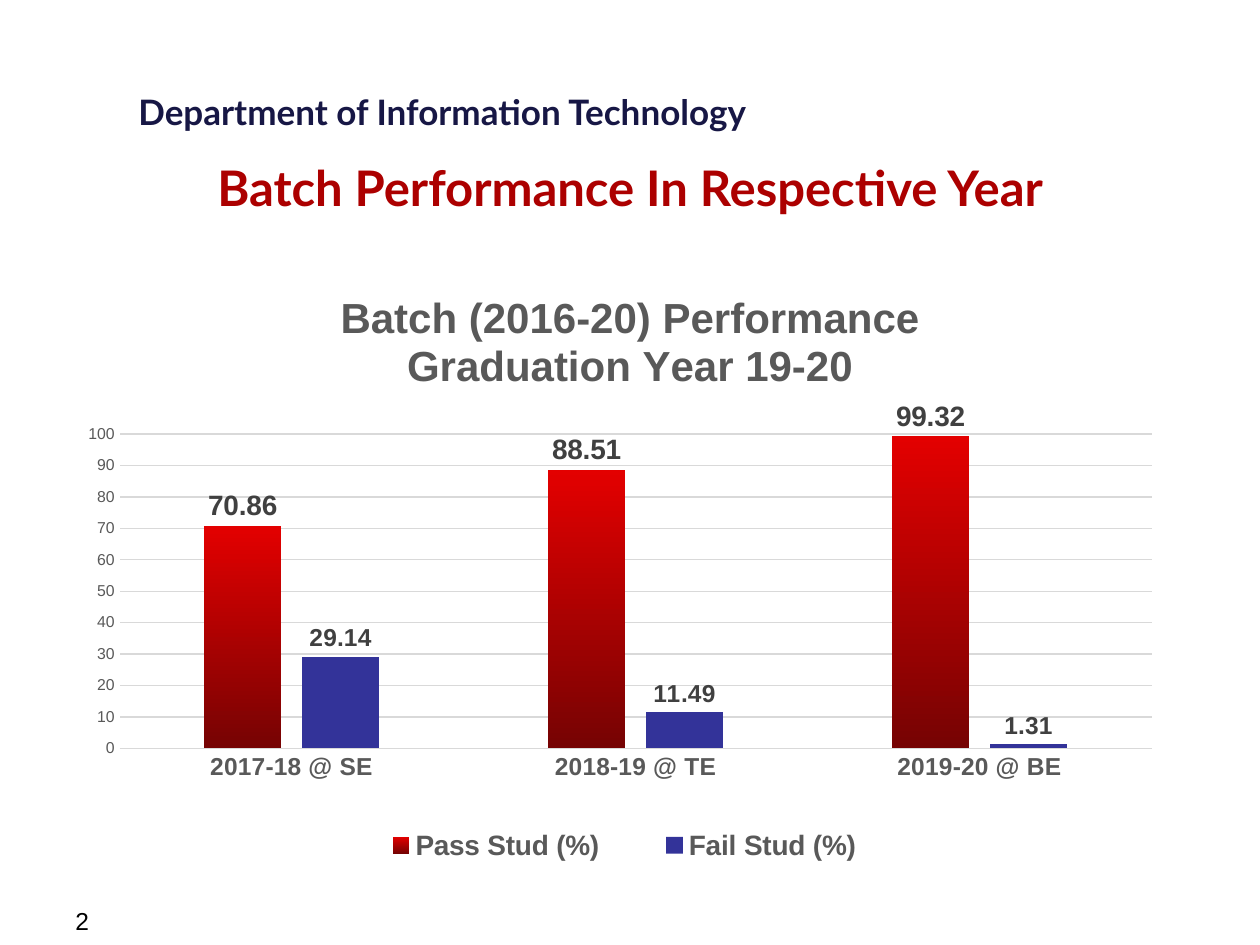
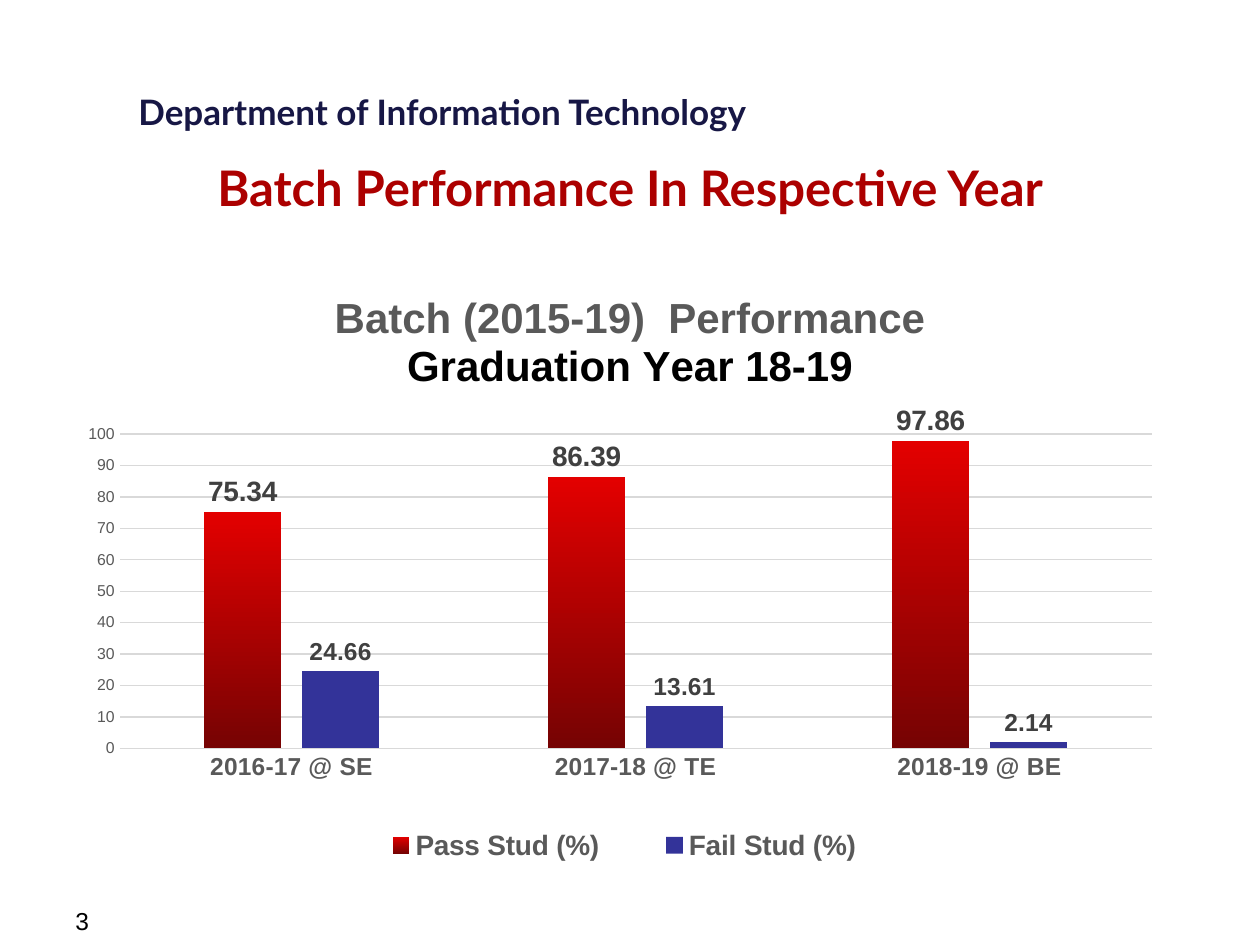
from lxml import etree
from pptx import Presentation
from pptx.chart.data import CategoryChartData
from pptx.dml.color import RGBColor
from pptx.enum.chart import XL_CHART_TYPE, XL_LABEL_POSITION, XL_LEGEND_POSITION, XL_TICK_MARK
from pptx.enum.text import PP_ALIGN
from pptx.oxml.ns import qn
from pptx.util import Cm, Pt

COLUMNS = XL_CHART_TYPE.COLUMN_CLUSTERED
OUTSIDE_END = XL_LABEL_POSITION.OUTSIDE_END
LEGEND_BOTTOM = XL_LEGEND_POSITION.BOTTOM
NO_TICKS = XL_TICK_MARK.NONE
LEFT, CENTER = PP_ALIGN.LEFT, PP_ALIGN.CENTER

HEADING_FONT, BODY_FONT = "Lato", "Arial"
NAVY, CRIMSON, BLACK = "171745", "AC0000", "000000"
GREY, LABEL_GREY, GRID_GREY = "595959", "404040", "D9D9D9"
PASS_TOP, PASS_BOTTOM, FAIL_BLUE = "E30000", "760303", "333399"

DEPARTMENT_BOX = (2.54, 1.7, 13.59, 1.12)
TITLE_BOX = (1.27, 3.05, 22.86, 1.22)
CHART_BOX = (1.27, 5.46, 22.86, 12.19)
NUMBER_BOX = (1.27, 18.14, 5.92, 0.69)
PLOT_AREA = (0.05, 0.27, 0.91, 0.52)
LEGEND_AREA = (0.24, 0.91, 0.51, 0.08)

BATCHES = [
    {
        "number": "2",
        "heading": [("Batch (2016-20) Performance", GREY), ("Graduation Year 19-20", GREY)],
        "years": ["2017-18 @ SE", "2018-19 @ TE", "2019-20 @ BE"],
        "passed": [70.86, 88.51, 99.32],
        "failed": [29.14, 11.49, 1.31],
    },
    {
        "number": "3",
        "heading": [("Batch (2015-19)  Performance", GREY), ("Graduation Year 18-19", BLACK)],
        "years": ["2016-17 @ SE", "2017-18 @ TE", "2018-19 @ BE"],
        "passed": [75.34, 86.39, 97.86],
        "failed": [24.66, 13.61, 2.14],
    },
]


def color(hex_string):
    """Turn a hex string into a colour."""
    return RGBColor.from_string(hex_string)


def style_font(font, size, hex_color, bold=False, name=BODY_FONT):
    """Set the typeface, size, weight and colour of a font."""
    font.name, font.size, font.bold = name, Pt(size), bold
    font.color.rgb = color(hex_color)


def add_text(slide, box, text, size, hex_color, bold=False, name=BODY_FONT, align=LEFT, wrap=True):
    """Add one line of text in a box given in centimetres."""
    frame = slide.shapes.add_textbox(*map(Cm, box)).text_frame
    frame.word_wrap = wrap
    paragraph = frame.paragraphs[0]
    paragraph.alignment = align
    run = paragraph.add_run()
    run.text = text
    style_font(run.font, size, hex_color, bold, name)


def set_layout(element, index, area, inner=False):
    """Fix a chart part at fractions of the chart's width and height."""
    for old_layout in element.findall(qn("c:layout")):
        element.remove(old_layout)
    layout = etree.Element(qn("c:layout"))
    manual = etree.SubElement(layout, qn("c:manualLayout"))
    settings = [("layoutTarget", "inner")] if inner else []
    settings += [("xMode", "edge"), ("yMode", "edge"), *zip("xywh", area)]
    for tag, value in settings:
        etree.SubElement(manual, qn(f"c:{tag}")).set("val", str(value))
    element.insert(index, layout)


def style_heading(chart, lines):
    """Write the chart heading, one paragraph for each line."""
    frame = chart.chart_title.text_frame
    for position, (text, hex_color) in enumerate(lines):
        paragraph = frame.add_paragraph() if position else frame.paragraphs[0]
        run = paragraph.add_run()
        run.text = text
        style_font(run.font, 24, hex_color, bold=True)
    chart.chart_title.include_in_layout = False


def style_axes(chart):
    """Format the year axis, the percentage axis and the gridlines."""
    years, percentages = chart.category_axis, chart.value_axis
    for axis in (years, percentages):
        axis.major_tick_mark = axis.minor_tick_mark = NO_TICKS
    style_font(years.tick_labels.font, 14, GREY, bold=True)
    style_font(percentages.tick_labels.font, 9, GREY)
    percentages.minimum_scale, percentages.maximum_scale = 0, 100
    percentages.major_unit = 10
    percentages.format.line.fill.background()
    for line in (years.format.line, percentages.major_gridlines.format.line):
        line.color.rgb = color(GRID_GREY)
        line.width = Pt(0.75)


def style_columns(chart):
    """Fill the columns and label them with their values."""
    plot = chart.plots[0]
    plot.gap_width, plot.overlap = 219, -27
    plot.vary_by_categories = False
    passed, failed = plot.series
    fill = passed.format.fill
    fill.gradient()
    fill.gradient_angle = 270
    for stop, hex_color in zip(fill.gradient_stops, (PASS_TOP, PASS_BOTTOM)):
        stop.color.rgb = color(hex_color)
    failed.format.fill.solid()
    failed.format.fill.fore_color.rgb = color(FAIL_BLUE)
    for series, size in ((passed, 16), (failed, 14)):
        labels = series.data_labels
        labels.show_value = True
        labels.position = OUTSIDE_END
        style_font(labels.font, size, LABEL_GREY, bold=True)


def style_legend(chart):
    """Place the legend below the columns."""
    chart.has_legend = True
    legend = chart.legend
    legend.position = LEGEND_BOTTOM
    legend.include_in_layout = False
    style_font(legend.font, 16, GREY, bold=True)
    set_layout(legend._element, 1, LEGEND_AREA)


def add_batch_chart(slide, box, batch):
    """Add the column chart of pass and fail percentages."""
    data = CategoryChartData()
    data.categories = batch["years"]
    data.add_series("Pass Stud (%)", batch["passed"])
    data.add_series("Fail Stud (%)", batch["failed"])
    chart = slide.shapes.add_chart(COLUMNS, *map(Cm, box), data).chart
    style_font(chart.font, 10, BLACK)
    style_heading(chart, batch["heading"])
    style_axes(chart)
    style_columns(chart)
    style_legend(chart)
    set_layout(chart._chartSpace.chart.plotArea, 0, PLOT_AREA, inner=True)


def add_batch_slide(presentation, batch):
    """Add a slide with department, title, chart and page number."""
    slide = presentation.slides.add_slide(presentation.slide_layouts[6])
    add_text(slide, DEPARTMENT_BOX, "Department of Information Technology", 20, NAVY,
             bold=True, name=HEADING_FONT, wrap=False)
    add_text(slide, TITLE_BOX, "Batch Performance In Respective Year", 28, CRIMSON,
             bold=True, name=HEADING_FONT, align=CENTER)
    add_text(slide, NUMBER_BOX, batch["number"], 14, BLACK)
    add_batch_chart(slide, CHART_BOX, batch)


def main():
    """Build and save the presentation."""
    presentation = Presentation()
    presentation.slide_width, presentation.slide_height = Cm(25.4), Cm(19.05)
    for batch in BATCHES:
        add_batch_slide(presentation, batch)
    presentation.save("out.pptx")


if __name__ == "__main__":
    main()
